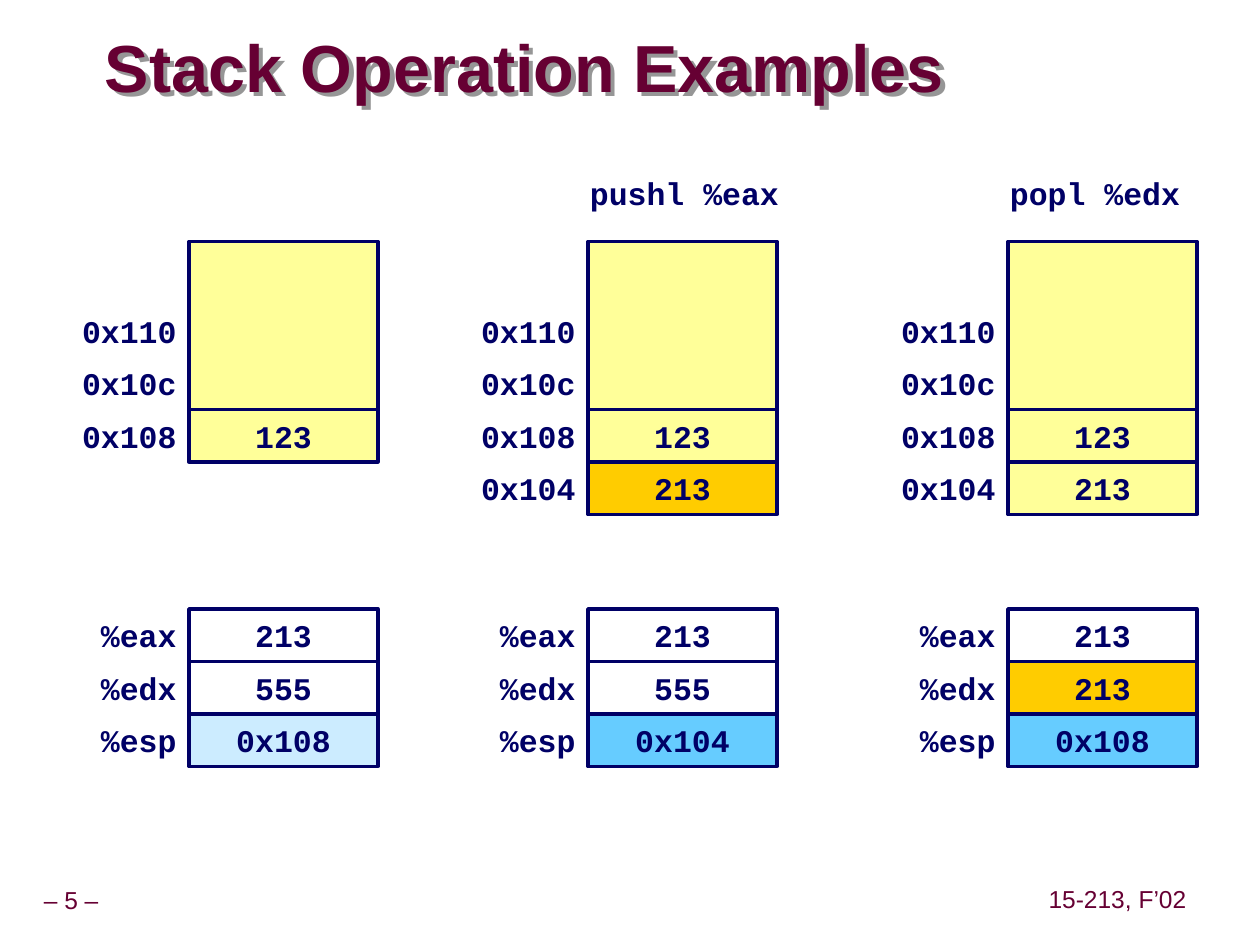
from lxml import etree
from pptx import Presentation
from pptx.dml.color import RGBColor
from pptx.enum.shapes import MSO_SHAPE
from pptx.enum.text import MSO_ANCHOR, PP_ALIGN
from pptx.oxml.ns import qn
from pptx.util import Pt

RECT = MSO_SHAPE.RECTANGLE
TOP, MIDDLE = MSO_ANCHOR.TOP, MSO_ANCHOR.MIDDLE
LEFT, CENTER, RIGHT = PP_ALIGN.LEFT, PP_ALIGN.CENTER, PP_ALIGN.RIGHT

TITLE = "Stack Operation Examples"
FOOTERS = [("– 5 –", -6.5, 504, 94.3), ("15-213, F’02", 595.4, 503.3, 86.4)]
ADDRS = ["0x110", "0x10c", "0x108", "0x104"]
REGS = ["%eax", "%edx", "%esp"]
STATES = [
    {"left": 0, "code": "", "stack": [("123", "stack")],
     "regs": [("213", "plain"), ("555", "plain"), ("0x108", "pale")]},
    {"left": 228, "code": "pushl %eax", "stack": [("123", "stack"), ("213", "new")],
     "regs": [("213", "plain"), ("555", "plain"), ("0x104", "blue")]},
    {"left": 468, "code": "popl %edx", "stack": [("123", "stack"), ("213", "stack")],
     "regs": [("213", "plain"), ("213", "new"), ("0x108", "blue")]},
]

THEME = {
    "plain": "FFFFFF", "stack": "FFFF99", "new": "FFCC00", "pale": "CCECFF",
    "blue": "66CCFF", "ink": "000066", "wine": "660033", "shade": "969696",
    "sans": "Arial", "mono": "Courier New",
    "title": 38, "body": 18, "foot": 14, "edge": 2,
}
WIDE, ROW = 108, 30
CODE_TOP, STACK_TOP, TALL, REG_TOP = 96, 138, 96, 348
DATA_TOP = STACK_TOP + TALL
ADDR_TOP = DATA_TOP - 2 * ROW


def color(name):
    return RGBColor.from_string(THEME[name])


def write(shape, text, size="body", face="mono", ink="ink", bold=True,
          align=CENTER, anchor=MIDDLE, pad=(7.2, 3.6), wrap=True, space=None):
    frame = shape.text_frame
    frame.text = text
    frame.word_wrap = wrap
    frame.vertical_anchor = anchor
    frame.margin_left = frame.margin_right = Pt(pad[0])
    frame.margin_top = frame.margin_bottom = Pt(pad[1])
    para = frame.paragraphs[0]
    para.alignment = align
    if space:
        para.line_spacing = space
    for run in para.runs:
        run.font.name = THEME[face]
        run.font.size = Pt(THEME[size])
        run.font.bold = bold
        run.font.color.rgb = color(ink)


def add_text(slide, text, left, top, width, height, **style):
    box = slide.shapes.add_textbox(Pt(left), Pt(top), Pt(width), Pt(height))
    write(box, text, **style)
    return box


def add_cell(slide, text, left, top, height=ROW, fill="plain", edge=True, align=CENTER):
    cell = slide.shapes.add_shape(RECT, Pt(left), Pt(top), Pt(WIDE), Pt(height))
    cell.shadow.inherit = False
    cell.fill.solid()
    cell.fill.fore_color.rgb = color(fill)
    if edge:
        cell.line.color.rgb = color("ink")
        cell.line.width = Pt(THEME["edge"])
    else:
        cell.line.fill.background()
    if text:
        write(cell, text, align=align)


def add_rows(slide, left, top, names, cells):
    for i, name in enumerate(names):
        add_cell(slide, name, left, top + i * ROW, edge=False, align=RIGHT)
    start = top + (len(names) - len(cells)) * ROW
    for i, (text, fill) in enumerate(cells):
        add_cell(slide, text, left + WIDE, start + i * ROW, fill=fill)


def add_shade(box):
    effects = etree.SubElement(box.element.spPr, qn("a:effectLst"))
    shade = etree.SubElement(effects, qn("a:outerShdw"), dist=str(Pt(3.6)),
                             dir="2700000", algn="ctr", rotWithShape="0")
    etree.SubElement(shade, qn("a:srgbClr"), val=THEME["shade"])


def main():
    deck = Presentation()
    deck.slide_width, deck.slide_height = Pt(720), Pt(540)
    slide = deck.slides.add_slide(deck.slide_layouts[6])
    for text, left, top, width in FOOTERS:
        add_text(slide, text, left, top, width, 22.3, size="foot", face="sans",
                 ink="wine", bold=False, pad=(3.6, 3.6), wrap=False, space=0.9)
    title = add_text(slide, TITLE, 60, 18, 532, 45.5, size="title", face="sans",
                     ink="wine", align=LEFT, pad=(0, 0), space=0.87)
    add_shade(title)
    for state in STATES:
        left, stack = state["left"], state["stack"]
        add_rows(slide, left, ADDR_TOP, ADDRS[:2 + len(stack)], stack)
        add_cell(slide, "", left + WIDE, STACK_TOP, TALL, "stack")
        add_rows(slide, left, REG_TOP, REGS, state["regs"])
        if state["code"]:
            width = 14.4 + 10.8 * len(state["code"])
            add_text(slide, state["code"], left + WIDE - 6, CODE_TOP, width, 29,
                     align=LEFT, anchor=TOP, wrap=False)
    deck.save("out.pptx")


if __name__ == "__main__":
    main()
